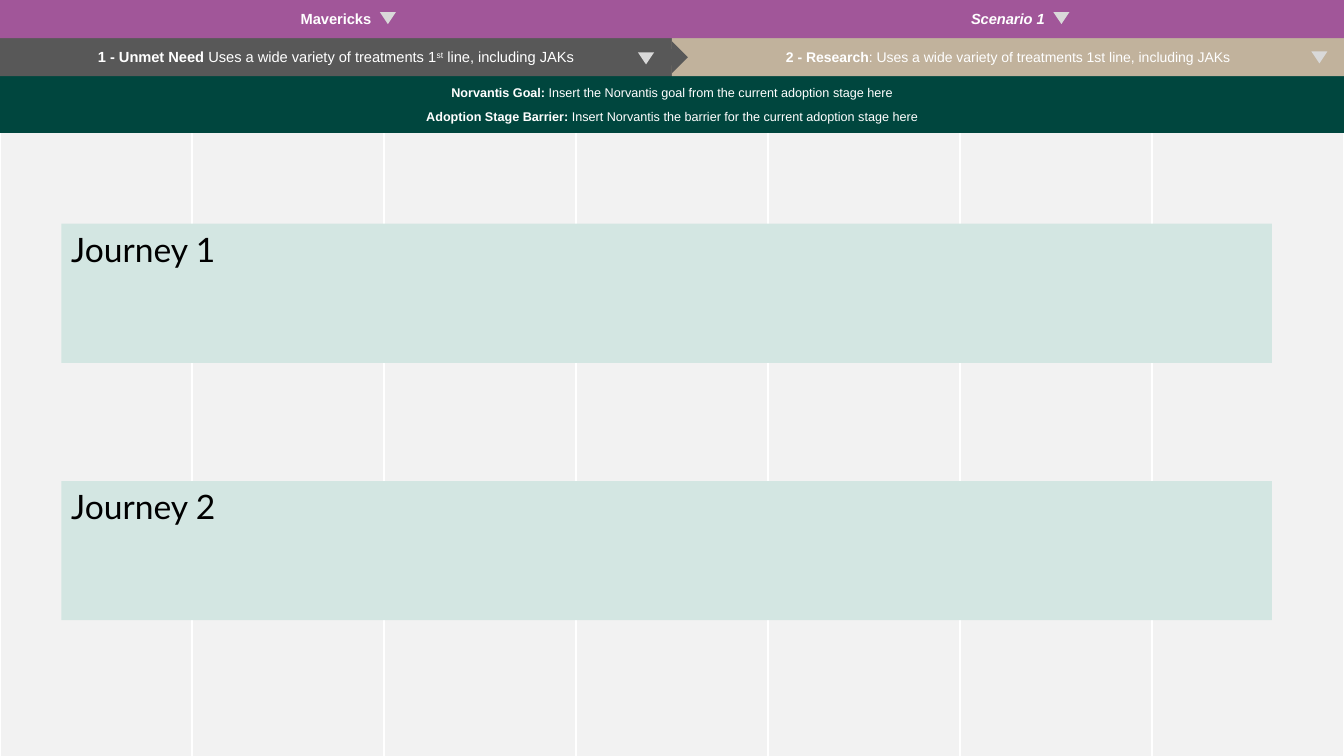
from lxml.etree import SubElement
from pptx import Presentation
from pptx.dml.color import RGBColor
from pptx.enum.shapes import MSO_SHAPE as Shape
from pptx.enum.text import MSO_ANCHOR as Anchor, MSO_AUTO_SIZE as AutoSize, PP_ALIGN as Align
from pptx.oxml.ns import qn
from pptx.util import Pt

WIDTH, HEIGHT = 960, 540
HALF = WIDTH / 2
ROW = 27.2
BAND_HEIGHT = 95
WHITE, PURPLE, GREY, TAN = "FFFFFF", "A15699", "585858", "C1B29C"
GREEN, MINT, PALE, MARKER = "00463E", "D3E6E2", "F2F2F2", "D9D9D9"


def colour(code):
    return RGBColor.from_string(code)


def add_block(page, kind, box, fill):
    block = page.shapes.add_shape(kind, *map(Pt, box))
    block.shadow.inherit = False
    block.fill.solid()
    block.fill.fore_color.rgb = colour(fill)
    block.line.fill.background()
    return block


def write(frame, runs, size, font="Arial", ink=WHITE, align=Align.CENTER):
    """Each run is a text followed by its styles: b, i or sup."""
    frame.word_wrap = True
    para = frame.paragraphs[0]
    para.alignment = align
    for text, *styles in runs:
        span = para.add_run()
        span.text = text
        span.font.name = font
        span.font.size = Pt(size)
        span.font.color.rgb = colour(ink)
        span.font.bold = "b" in styles
        span.font.italic = "i" in styles
        if "sup" in styles:
            span.font._element.set("baseline", "30000")


def border_cell(cell):
    properties = cell._tc.get_or_add_tcPr()
    for index, (side, weight) in enumerate([("L", 1), ("R", 1), ("T", 1), ("B", 3)]):
        line = SubElement(properties, qn(f"a:ln{side}"), w=str(Pt(weight)))
        fill = SubElement(line, qn("a:solidFill"))
        SubElement(fill, qn("a:srgbClr"), val=WHITE)
        properties.insert(index, line)


def add_columns(page, box, count):
    table = page.shapes.add_table(1, count, *map(Pt, box)).table
    table.first_row = table.horz_banding = False
    for column, cell in zip(table.columns, table.rows[0].cells):
        column.width = Pt(box[2] / count)
        cell.fill.solid()
        cell.fill.fore_color.rgb = colour(PALE)
        border_cell(cell)


def add_header_cell(page, box, fill, runs, size=10.5):
    cell = add_block(page, Shape.RECTANGLE, box, fill)
    frame = cell.text_frame
    frame.margin_top = frame.margin_bottom = Pt(3)
    frame.vertical_anchor = Anchor.MIDDLE
    write(frame, runs, size)


def add_goal_lines(page, box, lines):
    left, top, width, height = box
    pitch = height / len(lines)
    for index, (label, text) in enumerate(lines):
        line = page.shapes.add_textbox(Pt(left), Pt(top + index * pitch), Pt(width), Pt(18))
        line.text_frame.auto_size = AutoSize.SHAPE_TO_FIT_TEXT
        write(line.text_frame, [(label, "b"), (text,)], 9)


def add_header(page, box):
    left, top, width, height = box
    middle = left + HALF
    add_block(page, Shape.RECTANGLE, box, GREEN)

    # Stages, then the goal lines beneath them
    stage_top = top + ROW
    add_header_cell(page, (left, stage_top, HALF, ROW), GREY, [
        ("1 - Unmet Need ", "b"), ("Uses a wide variety of treatments 1",),
        ("st", "sup"), (" line, including JAKs",)])
    add_header_cell(page, (middle, stage_top, HALF, ROW), TAN, [
        ("2 - Research", "b"),
        (": Uses a wide variety of treatments 1st line, including JAKs",)], 10)
    add_goal_lines(page, (left + 92, top + 57, width - 184, 34.6), [
        ("Norvantis Goal: ", "Insert the Norvantis goal from the current adoption stage here"),
        ("Adoption Stage Barrier: ",
         "Insert Norvantis the barrier for the current adoption stage here")])

    # Segment and scenario
    add_header_cell(page, (left, top, HALF, ROW), PURPLE, [("Mavericks", "b")])
    add_header_cell(page, (middle, top, HALF, ROW), PURPLE, [("Scenario 1", "b", "i")])

    # Arrow from the first stage to the second
    add_block(page, Shape.RIGHT_ARROW, (middle - 26.2, stage_top + 2.2, 37.6, 23), GREY)

    # Drop-down markers
    for x, y in [(271.3, 8.6), (752.4, 8.6), (455.7, 37.4), (936.7, 36.7)]:
        marker = add_block(page, Shape.ISOSCELES_TRIANGLE, (left + x, top + y, 11.5, 8.6), MARKER)
        marker.rotation = 180


def add_journey(page, box, name):
    panel = add_block(page, Shape.RECTANGLE, box, MINT)
    panel.text_frame.vertical_anchor = Anchor.TOP
    write(panel.text_frame, [(name,)], 24, "Lato", "000000", Align.LEFT)


def main():
    deck = Presentation()
    deck.slide_width, deck.slide_height = Pt(WIDTH), Pt(HEIGHT)
    page = deck.slides.add_slide(deck.slide_layouts[6])

    add_columns(page, (0, 0, WIDTH, 543), 7)
    add_header(page, (0, 0, WIDTH, BAND_HEIGHT))
    for index, name in enumerate(["Journey 1", "Journey 2"]):
        add_journey(page, (43.8, 159.8 + index * 183.8, 864.8, 99.4), name)

    deck.save("out.pptx")


if __name__ == "__main__":
    main()
